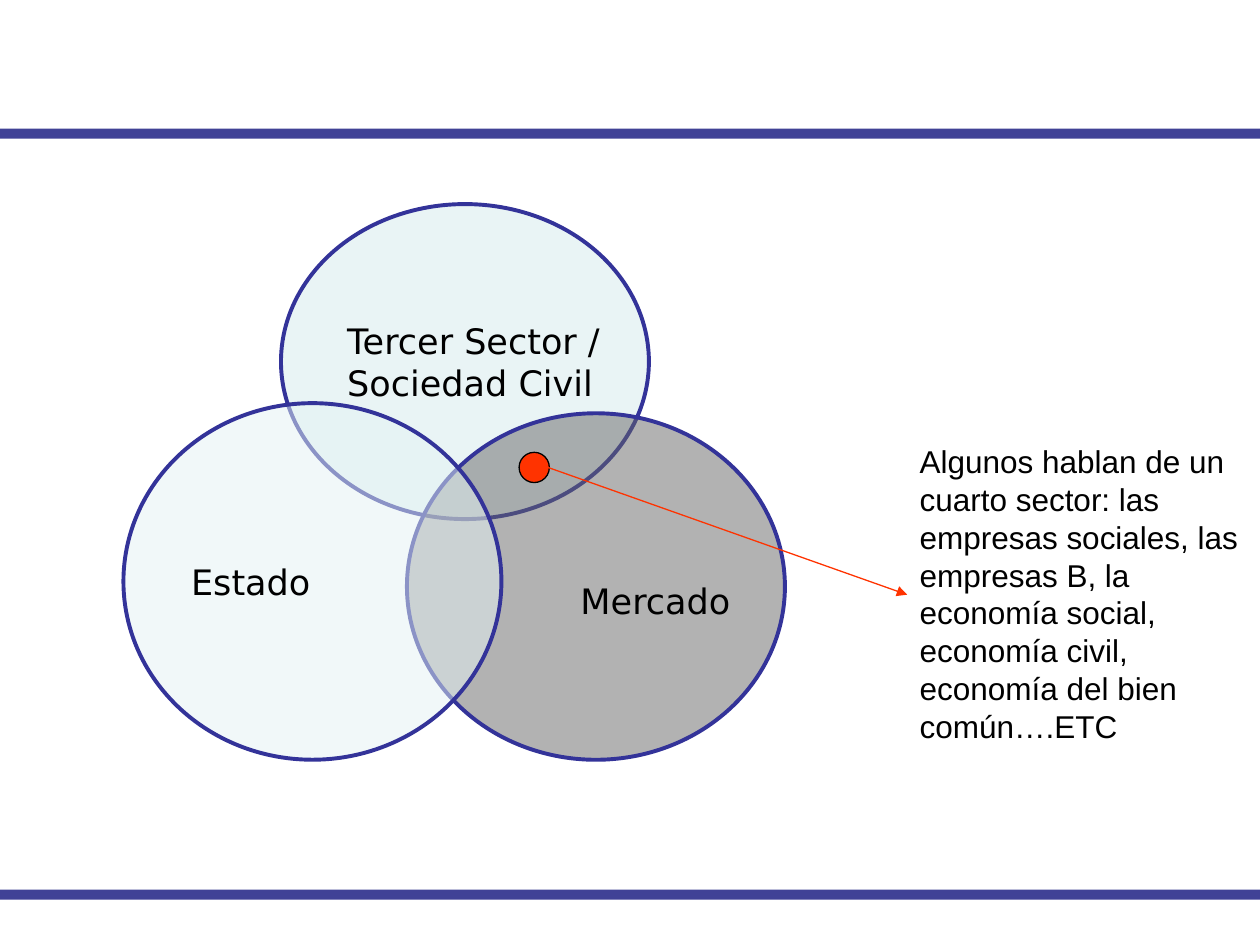
from lxml import etree
from pptx import Presentation
from pptx.dml.color import RGBColor
from pptx.enum.shapes import MSO_CONNECTOR, MSO_SHAPE
from pptx.enum.text import MSO_ANCHOR, MSO_AUTO_SIZE, PP_ALIGN
from pptx.oxml.ns import qn
from pptx.util import Inches, Pt

RECT, OVAL = MSO_SHAPE.RECTANGLE, MSO_SHAPE.OVAL
STRAIGHT = MSO_CONNECTOR.STRAIGHT
MIDDLE = MSO_ANCHOR.MIDDLE
LEFT = PP_ALIGN.LEFT
GROW = MSO_AUTO_SIZE.SHAPE_TO_FIT_TEXT

BAR = RGBColor(0x40, 0x42, 0x96)
NAVY = RGBColor(0x33, 0x33, 0x99)
MINT = RGBColor(0xE9, 0xF4, 0xF5)
PALE = RGBColor(0xE4, 0xF3, 0xF4)
GRAY = RGBColor(0x66, 0x66, 0x66)
RED = RGBColor(0xFF, 0x33, 0x00)
BLACK = RGBColor(0, 0, 0)

NOTE = ("Algunos hablan de un cuarto sector: las empresas sociales, "
        "las empresas B, la economía social, economía civil, "
        "economía del bien común….ETC")


def add_form(slide, kind, box, fill, line=None, width=0):
    form = slide.shapes.add_shape(kind, *map(Inches, box))
    form.shadow.inherit = False
    form.fill.solid()
    form.fill.fore_color.rgb = fill
    if line is None:
        form.line.fill.background()
    else:
        form.line.color.rgb = line
        form.line.width = Pt(width)
    return form


def style(run, size, face):
    run.font.size = Pt(size)
    run.font.name = face
    run.font.color.rgb = BLACK


def add_set(slide, box, fill, text, alpha=None):
    """Draw one circle of the Venn diagram with its label."""
    form = add_form(slide, OVAL, box, fill, NAVY, 2.25)
    if alpha is not None:
        color = form.fill._xPr.find(qn("a:solidFill"))[0]
        etree.SubElement(color, qn("a:alpha"), val=str(alpha * 1000))
    frame = form.text_frame
    frame.text = text
    frame.word_wrap = False
    frame.vertical_anchor = MIDDLE
    for para in frame.paragraphs:
        para.alignment = LEFT
        for run in para.runs:
            style(run, 20, "DejaVu Sans")
    return form


def add_tab(para, label, stop):
    """Put a label after a large tab, which also lowers its baseline."""
    tabs = etree.SubElement(para._p.get_or_add_pPr(), qn("a:tabLst"))
    etree.SubElement(tabs, qn("a:tab"), pos=str(Inches(stop)), algn="l")
    for text, size, face in (("\t", 40, "Arial"), (label, 20, "DejaVu Sans")):
        run = para.add_run()
        run.text = text
        style(run, size, face)


def add_note(slide, box, text):
    note = slide.shapes.add_textbox(*map(Inches, box))
    frame = note.text_frame
    frame.text = text
    frame.word_wrap = True
    frame.auto_size = GROW
    style(frame.paragraphs[0].runs[0], 18, "Arial")
    return note


def add_arrow(slide, start, end, note):
    arrow = slide.shapes.add_connector(STRAIGHT, *map(Inches, start + end))
    arrow.end_connect(note, 1)
    arrow.line.color.rgb = RED
    arrow.line.width = Pt(0.75)
    line = arrow.line._get_or_add_ln()
    etree.SubElement(line, qn("a:tailEnd"), type="triangle")
    etree.SubElement(arrow._element.spPr, qn("a:effectLst"))


def main():
    deck = Presentation()
    deck.slide_width, deck.slide_height = Inches(10), Inches(7.5)
    slide = deck.slides.add_slide(deck.slide_layouts[6])

    # Bars across the slide
    for top in (7.06, 1.02):
        add_form(slide, RECT, (0, top, 10, 0.08), BAR)

    # Side note
    note = add_note(slide, (7.2, 3.46, 2.84, 2.52), NOTE)

    # Three sectors
    add_set(slide, (2.23, 1.62, 2.92, 2.5), MINT,
            "Tercer Sector /\nSociedad Civil")
    market = add_set(slide, (3.23, 3.28, 3, 2.75), GRAY, "", 50)
    add_tab(market.text_frame.paragraphs[0], "Mercado", 0.84)
    add_set(slide, (0.98, 3.2, 3, 2.83), PALE, "Estado", 50)

    # Fourth sector: dot and arrow to the note
    add_form(slide, OVAL, (4.12, 3.59, 0.24, 0.24), RED, BLACK, 0.75)
    add_arrow(slide, (4.35, 3.71), (7.2, 4.72), note)

    deck.save("out.pptx")


if __name__ == "__main__":
    main()
